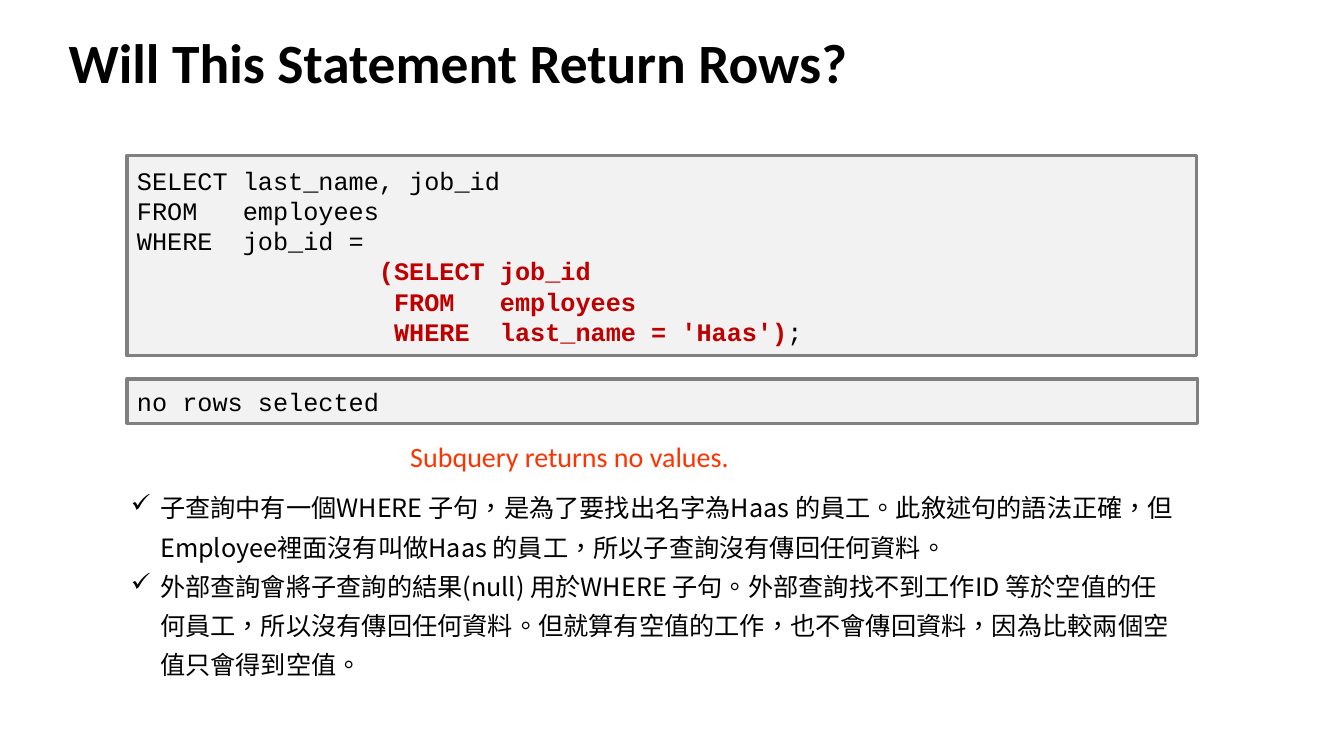
from dataclasses import dataclass

from lxml.etree import SubElement
from pptx import Presentation
from pptx.dml.color import RGBColor
from pptx.enum.shapes import MSO_SHAPE
from pptx.enum.text import MSO_ANCHOR, MSO_AUTO_SIZE, PP_ALIGN
from pptx.oxml.ns import qn
from pptx.util import Inches, Pt


@dataclass(frozen=True)
class Theme:
    """Fonts, type sizes and colours of the slide."""
    heading_font: str = "Calibri"
    code_font: str = "Courier New"
    body_font: str = "Noto Sans CJK SC"
    title_size: float = 39.6
    caption_size: float = 20
    text_size: float = 18
    ink: str = "000000"
    subquery: str = "C00000"
    caption: str = "FF3300"
    panel: str = "F2F2F2"
    border: str = "808080"


THEME = Theme()
CHARACTER_WIDTH = 0.15

QUERY = [
    (0, [("SELECT last_name, job_id", False)]),
    (0, [("FROM   employees", False)]),
    (0, [("WHERE  job_id =", False)]),
    (16, [("(SELECT job_id", True)]),
    (17, [("FROM   employees", True)]),
    (17, [("WHERE  last_name = 'Haas')", True), (";", False)]),
]
RESULT = [(0, [("no rows selected", False)])]
NOTES = [
    "子查詢中有一個WHERE 子句，是為了要找出名字為Haas 的員工。此敘述句的語法正確，"
    "但Employee裡面沒有叫做Haas 的員工，所以子查詢沒有傳回任何資料。",
    "外部查詢會將子查詢的結果(null) 用於WHERE 子句。外部查詢找不到工作ID 等於空值的"
    "任何員工，所以沒有傳回任何資料。但就算有空值的工作，也不會傳回資料，"
    "因為比較兩個空值只會得到空值。",
]


def write(para, text, font, size, color=THEME.ink, bold=False, language="en-US"):
    """Add one formatted span of text to a paragraph."""
    span = para.add_run()
    span.text = text
    span.font.name = font
    span.font.size = Pt(size)
    span.font.bold = bold
    span.font.color.rgb = RGBColor.from_string(color)
    properties = span.font._element
    properties.set("lang", language)
    SubElement(properties, qn("a:ea"), typeface=font)


def paragraphs(frame, count):
    """Return the given number of left-aligned paragraphs of an empty frame."""
    paras = [frame.paragraphs[0]] + [frame.add_paragraph() for _ in range(count - 1)]
    for para in paras:
        para.alignment = PP_ALIGN.LEFT
    return paras


def indent(para, left, first=0):
    """Set the left margin and first-line indent of a paragraph."""
    properties = para._p.get_or_add_pPr()
    properties.set("marL", str(Inches(left)))
    properties.set("indent", str(Inches(first)))
    return properties


def add_title(page, text):
    """Place and fill the title placeholder."""
    title = page.shapes.title
    title.left, title.top = Inches(0.58), Inches(0.3)
    title.width, title.height = Inches(12.18), Inches(0.61)
    frame = title.text_frame
    frame.auto_size = MSO_AUTO_SIZE.NONE
    frame.vertical_anchor = MSO_ANCHOR.MIDDLE
    write(paragraphs(frame, 1)[0], text, THEME.heading_font, THEME.title_size, bold=True)


def add_code_panel(page, top, width, height, lines):
    """Draw a bordered panel holding lines of code."""
    panel = page.shapes.add_shape(MSO_SHAPE.RECTANGLE, Inches(1.26), Inches(top),
                                  Inches(width), Inches(height))
    panel.shadow.inherit = False
    panel.fill.solid()
    panel.fill.fore_color.rgb = RGBColor.from_string(THEME.panel)
    panel.line.color.rgb = RGBColor.from_string(THEME.border)
    panel.line.width = Pt(2.25)
    frame = panel.text_frame
    frame.word_wrap = True
    frame.vertical_anchor = MSO_ANCHOR.MIDDLE
    for para, (columns, spans) in zip(paragraphs(frame, len(lines)), lines):
        indent(para, columns * CHARACTER_WIDTH)
        for text, inner in spans:
            write(para, text, THEME.code_font, THEME.text_size, bold=inner,
                  color=THEME.subquery if inner else THEME.ink)


def add_text_frame(page, left, top, width, height, wrap):
    """Add a text box and return its frame."""
    box = page.shapes.add_textbox(Inches(left), Inches(top), Inches(width), Inches(height))
    box.text_frame.word_wrap = wrap
    return box.text_frame


def add_caption(page, text):
    """Add the coloured caption below the result panel."""
    frame = add_text_frame(page, 3.97, 4.31, 3.39, 0.44, wrap=False)
    write(paragraphs(frame, 1)[0], text, THEME.heading_font, THEME.caption_size,
          color=THEME.caption)


def add_notes(page, notes):
    """Add the explanation as a list with check marks."""
    frame = add_text_frame(page, 1.2, 4.75, 10.61, 2.06, wrap=True)
    for para, text in zip(paragraphs(frame, len(notes)), notes):
        para.line_spacing = Pt(28)
        SubElement(indent(para, 0.29, -0.29), qn("a:buChar"), char="✓")
        write(para, text, THEME.body_font, THEME.text_size, language="zh-TW")


def main():
    """Build the slide and save the deck."""
    deck = Presentation()
    deck.slide_width, deck.slide_height = Inches(13.33), Inches(7.5)
    page = deck.slides.add_slide(deck.slide_layouts.get_by_name("Title Only"))
    add_title(page, "Will This Statement Return Rows?")
    add_code_panel(page, 1.54, 10.61, 1.99, QUERY)
    add_code_panel(page, 3.76, 10.62, 0.44, RESULT)
    add_caption(page, "Subquery returns no values.")
    add_notes(page, NOTES)
    deck.save("out.pptx")


if __name__ == "__main__":
    main()
